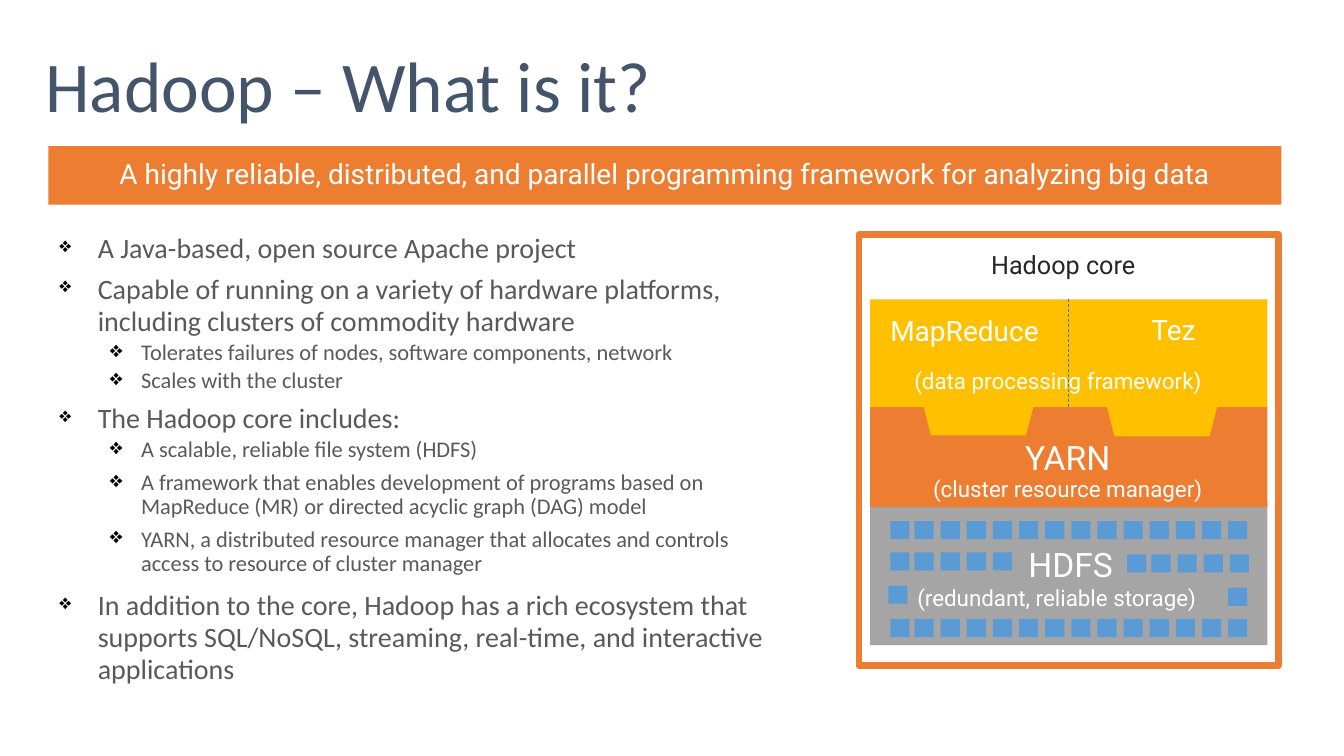
from dataclasses import dataclass

from lxml import etree
from pptx import Presentation
from pptx.dml.color import RGBColor
from pptx.enum import dml, shapes, text
from pptx.oxml import ns
from pptx.util import Inches, Pt

ORANGE, YELLOW, GRAY, BLUE, WHITE = "ED7D31", "FFC000", "A5A5A5", "5B9BD5", "FFFFFF"
RECTANGLE = shapes.MSO_SHAPE.RECTANGLE
TRAPEZOID = shapes.MSO_SHAPE.TRAPEZOID
LEFT, CENTER = text.PP_ALIGN.LEFT, text.PP_ALIGN.CENTER
TOP, MIDDLE = text.MSO_ANCHOR.TOP, text.MSO_ANCHOR.MIDDLE
WIDE_INSET, NARROW_INSET = (0.2, 0.16), (0.1, 0.05)


@dataclass
class Point:
    words: str
    level: int = 0
    spacing: float | Pt = 0.9
    before: float = 0
    after: float = 3


@dataclass
class Label:
    words: str
    box: tuple[float, float, float, float]
    size: float
    align: text.PP_ALIGN = LEFT
    color: str = WHITE
    inset: tuple[float, float] = WIDE_INSET
    anchor: text.MSO_ANCHOR = TOP
    subtitle: str = ""


@dataclass
class Layer:
    box: tuple[float, float, float, float]
    fill: str
    kind: shapes.MSO_SHAPE = RECTANGLE


@dataclass
class BlockRow:
    left: float
    top: float
    count: int


POINTS = [
    Point("A Java-based, open source Apache project", spacing=Pt(26)),
    Point("Capable of running on a variety of hardware platforms, including clusters "
          "of commodity hardware", spacing=Pt(23), before=3),
    Point("Tolerates failures of nodes, software components, network", 1),
    Point("Scales with the cluster", 1),
    Point("The Hadoop core includes:", spacing=Pt(26)),
    Point("A scalable, reliable file system (HDFS)", 1, after=6),
    Point("A framework that enables development of programs based on MapReduce (MR) "
          "or directed acyclic graph (DAG) model", 1, after=6),
    Point("YARN, a distributed resource manager that allocates and controls access "
          "to resource of cluster manager", 1, after=6),
    Point("In addition to the core, Hadoop has a rich ecosystem that supports SQL/NoSQL, "
          "streaming, real-time, and interactive applications", spacing=Pt(23), before=3),
]
LAYERS = [
    Layer((8.63, 4.99, 3.94, 1.41), GRAY),
    Layer((8.63, 4.04, 3.94, 0.99), ORANGE),
    Layer((8.63, 2.97, 3.94, 1.07), YELLOW),
    Layer((9.16, 4.03, 1.09, 0.29), YELLOW, TRAPEZOID),
    Layer((10.98, 4.04, 1.09, 0.29), YELLOW, TRAPEZOID),
]
BLOCK_ROWS = [
    BlockRow(8.83, 5.17, 14),
    BlockRow(8.83, 5.48, 5),
    BlockRow(11.18, 5.5, 5),
    BlockRow(8.81, 5.81, 1),
    BlockRow(12.18, 5.83, 1),
    BlockRow(8.83, 6.14, 14),
]
LABELS = [
    Label("Hadoop core", (8.52, 2.48, 4.05, 0.33), 18, CENTER, "262626", anchor=MIDDLE),
    Label("MapReduce", (8.63, 2.99, 1.98, 0.62), 20),
    Label("Tez", (11.22, 2.98, 1, 0.61), 20),
    Label("(data processing framework)", (8.97, 3.62, 3.11, 0.34), 16, inset=NARROW_INSET),
    Label("YARN", (9.93, 4.22, 1.32, 0.52), 24, CENTER,
          subtitle="(cluster resource manager)"),
    Label("HDFS", (10, 5.28, 1.32, 0.52), 24),
    Label("(redundant, reliable storage)", (9, 5.78, 3.1, 0.34), 16, inset=NARROW_INSET),
]


def rgb(color: str) -> RGBColor:
    return RGBColor.from_string(color)


def inches(box: tuple) -> list:
    return [Inches(length) for length in box]


def set_frame(frame, inset: tuple, wrap: bool, anchor=TOP) -> None:
    frame.auto_size = text.MSO_AUTO_SIZE.NONE
    frame.word_wrap = wrap
    frame.vertical_anchor = anchor
    frame.margin_left = frame.margin_right = Inches(inset[0])
    frame.margin_top = frame.margin_bottom = Inches(inset[1])


def set_font(font, name: str, size: float, color: str) -> None:
    font.name, font.size = name, Pt(size)
    font.color.rgb = rgb(color)


def add_layer(slide, layer: Layer):
    shape = slide.shapes.add_shape(layer.kind, *inches(layer.box))
    shape.shadow.inherit = False
    shape.fill.solid()
    shape.fill.fore_color.rgb = rgb(layer.fill)
    shape.line.fill.background()
    if layer.kind == TRAPEZOID:
        shape._element.spPr.find(ns.qn("a:xfrm")).set("flipV", "1")
    return shape


def write_label(frame, label: Label) -> None:
    set_frame(frame, label.inset, False, label.anchor)
    paragraph = frame.paragraphs[0]
    paragraph.alignment = label.align
    paragraph.line_spacing, paragraph.space_after = 0.9, Pt(6)
    set_font(paragraph.font, "Roboto", label.size, label.color)
    paragraph.add_run().text = label.words
    if label.subtitle:
        paragraph.add_line_break()
        subtitle = paragraph.add_run()
        subtitle.text = label.subtitle
        subtitle.font.size = Pt(16)


def add_bullet(paragraph, level: int) -> None:
    properties = paragraph._p.get_or_add_pPr()
    margin, hanging = (0.81, 0.31) if level else (0.38, 0.38)
    properties.set("marL", str(Inches(margin)))
    properties.set("indent", str(-Inches(hanging)))
    bullet_color = etree.SubElement(properties, ns.qn("a:buClr"))
    etree.SubElement(bullet_color, ns.qn("a:srgbClr"), val="000000")
    if not level:
        etree.SubElement(properties, ns.qn("a:buSzPct"), val="75000")
    etree.SubElement(properties, ns.qn("a:buChar"), char="❖")


def add_points(slide) -> None:
    frame = slide.shapes.add_textbox(*inches((0.39, 2.1, 7.43, 4.94))).text_frame
    set_frame(frame, WIDE_INSET, True)
    for index, point in enumerate(POINTS):
        paragraph = frame.add_paragraph() if index else frame.paragraphs[0]
        paragraph.text, paragraph.level = point.words, point.level
        add_bullet(paragraph, point.level)
        paragraph.line_spacing = point.spacing
        paragraph.space_before, paragraph.space_after = Pt(point.before), Pt(point.after)
        set_font(paragraph.font, "Calibri", 16 if point.level else 20, "595959")


def add_block_row(slide, row: BlockRow) -> None:
    for column in range(row.count):
        offset = 0.24 + (column - 1) * 3.11 / 12 if column else 0
        add_layer(slide, Layer((row.left + offset, row.top, 0.19, 0.18), BLUE))


def add_divider(slide) -> None:
    divider = slide.shapes.add_connector(
        shapes.MSO_CONNECTOR.STRAIGHT, *inches((10.6, 2.97, 10.6, 4.04)))
    divider.line.color.rgb = rgb("4472C4")
    divider.line.width = Pt(0.5)
    divider.line.dash_style = dml.MSO_LINE.DASH
    etree.SubElement(divider._element.spPr, ns.qn("a:effectLst"))


def main() -> None:
    deck = Presentation()
    deck.slide_width, deck.slide_height = Inches(13.33), Inches(7.5)
    slide = deck.slides.add_slide(deck.slide_layouts[5])

    # Title
    title = slide.shapes.title
    title.left, title.top, title.width, title.height = inches((0.29, 0.4, 11.76, 1.1))
    set_frame(title.text_frame, (0.16, 0.1), True)
    heading = title.text_frame.paragraphs[0]
    heading.text, heading.alignment, heading.line_spacing = "Hadoop – What is it?", LEFT, 0.9
    set_font(heading.font, "Calibri", 51, "44546A")

    # Banner and bullet points
    summary = Label("A highly reliable, distributed, and parallel programming framework "
                    "for analyzing big data", (0.48, 1.45, 12.23, 0.58), 20, CENTER,
                    anchor=MIDDLE)
    write_label(add_layer(slide, Layer(summary.box, ORANGE)).text_frame, summary)
    add_points(slide)

    # Architecture stack
    border = add_layer(slide, Layer((8.52, 2.33, 4.16, 4.27), WHITE))
    border.fill.background()
    border.line.color.rgb = rgb(ORANGE)
    border.line.width = Pt(5)
    for layer in LAYERS:
        add_layer(slide, layer)
    for row in BLOCK_ROWS:
        add_block_row(slide, row)
    add_divider(slide)
    for label in LABELS:
        write_label(slide.shapes.add_textbox(*inches(label.box)).text_frame, label)

    deck.save("out.pptx")


if __name__ == "__main__":
    main()
